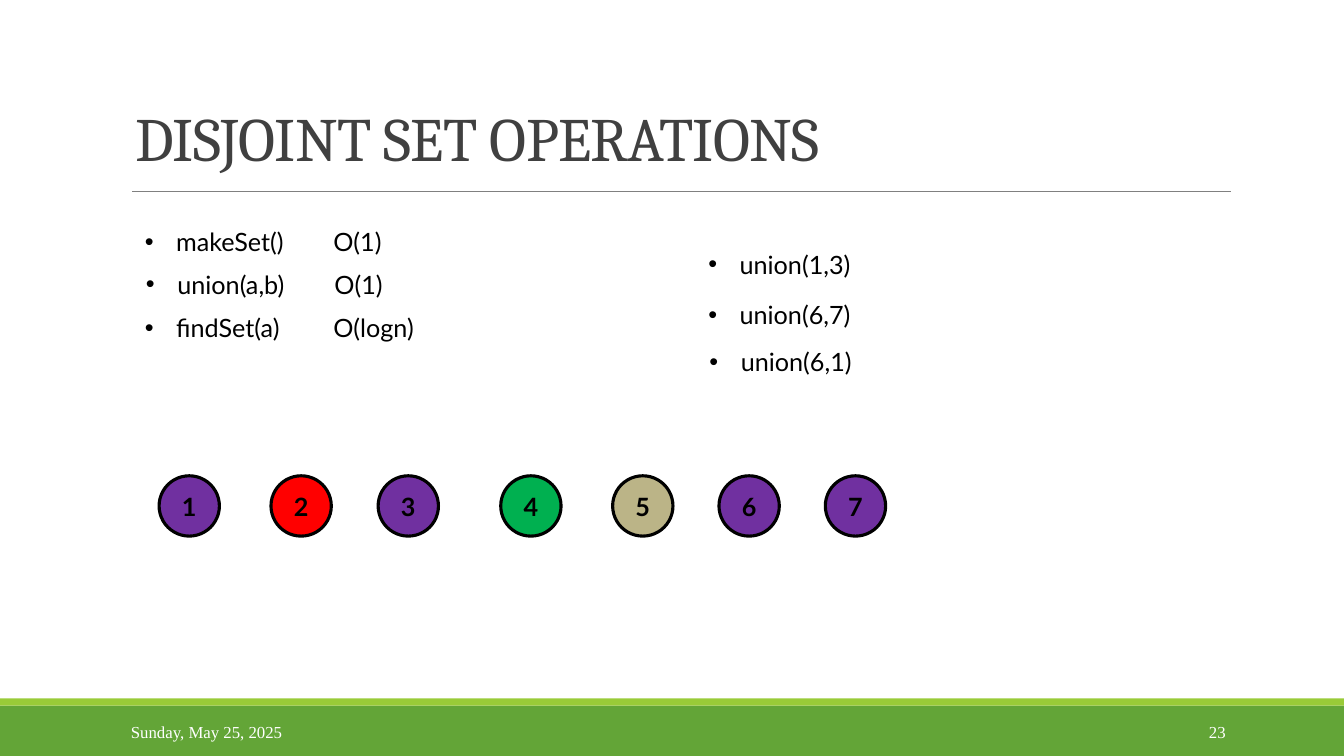
from lxml import etree
from pptx import Presentation
from pptx.dml.color import RGBColor
from pptx.enum.shapes import MSO_CONNECTOR, MSO_SHAPE
from pptx.enum.text import MSO_ANCHOR, MSO_AUTO_SIZE, PP_ALIGN
from pptx.oxml.ns import qn
from pptx.util import Cm, Pt

RECT, OVAL = MSO_SHAPE.RECTANGLE, MSO_SHAPE.OVAL
STRAIGHT = MSO_CONNECTOR.STRAIGHT
TOP, MID, LOW = MSO_ANCHOR.TOP, MSO_ANCHOR.MIDDLE, MSO_ANCHOR.BOTTOM
LEFT, CENTER, RIGHT = PP_ALIGN.LEFT, PP_ALIGN.CENTER, PP_ALIGN.RIGHT
FIT, FIXED = MSO_AUTO_SIZE.SHAPE_TO_FIT_TEXT, MSO_AUTO_SIZE.NONE


def color(code):
    """Turn a hex string into a colour."""
    return RGBColor.from_string(code)


class Deck:
    """Hold the style and the current slide."""

    body, head, foot = "Lato", "Cambria", "Times New Roman"
    black, white, gray = "000000", "FFFFFF", "404040"
    green, lime, rule = "63A537", "99CB38", "808080"

    def __init__(self, file):
        """Add a title-only slide."""
        self.slide = file.slides.add_slide(file.slide_layouts[5])
        self.shapes = self.slide.shapes

    def add_run(self, shape, text, font, size, ink, align=LEFT, bold=False):
        """Put one run of text in a shape."""
        para = shape.text_frame.paragraphs[0]
        para.alignment = align
        run = para.add_run()
        run.text = text
        run.font.name, run.font.size, run.font.bold = font, Pt(size), bold
        run.font.color.rgb = color(ink)
        return para, run

    def title(self, text, left, top, width, height):
        """Place and format the title."""
        shape = self.shapes.title
        shape.left, shape.top = Cm(left), Cm(top)
        shape.width, shape.height = Cm(width), Cm(height)
        frame = shape.text_frame
        frame.vertical_anchor, frame.auto_size = LOW, FIXED
        para, run = self.add_run(shape, text, self.head, 44, self.gray)
        para.line_spacing = 0.85
        run.font._element.set("spc", "-50")

    def shape(self, kind, left, top, width, height, fill, edge=None):
        """Draw a filled shape, with an edge if a width is given."""
        shape = self.shapes.add_shape(kind, Cm(left), Cm(top), Cm(width), Cm(height))
        shape.shadow.inherit = False
        shape.fill.solid()
        shape.fill.fore_color.rgb = color(fill)
        if edge:
            shape.line.color.rgb = color(self.black)
            shape.line.width = Pt(edge)
        else:
            shape.line.fill.background()
        return shape

    def node(self, left, top, size, text, fill):
        """Draw a numbered circle."""
        shape = self.shape(OVAL, left, top, size, size, fill, 2.25)
        frame = shape.text_frame
        frame.word_wrap, frame.vertical_anchor = False, MID
        self.add_run(shape, text, self.body, 18, self.black, CENTER, True)

    def line(self, left, right, top):
        """Draw a level rule."""
        line = self.shapes.add_connector(STRAIGHT, Cm(left), Cm(top), Cm(right), Cm(top))
        line.line.color.rgb, line.line.width = color(self.rule), Pt(0.5)
        etree.SubElement(line._element.spPr, qn("a:effectLst"))

    def box(self, left, top, width, wrap, anchor):
        """Add an empty text box."""
        box = self.shapes.add_textbox(Cm(left), Cm(top), Cm(width), Cm(1.02))
        frame = box.text_frame
        frame.word_wrap, frame.vertical_anchor = wrap, anchor
        frame.auto_size = FIXED if wrap else FIT
        return box

    def label(self, left, top, width, text, dot=False):
        """Add a body line, with a bullet if asked."""
        box = self.box(left, top, width, False, TOP)
        para, _ = self.add_run(box, text, self.body, 18, self.black)
        if dot:
            props = para._p.get_or_add_pPr()
            props.set("marL", str(Cm(0.79)))
            props.set("indent", str(-Cm(0.79)))
            etree.SubElement(props, qn("a:buFont"), typeface="Arial")
            etree.SubElement(props, qn("a:buChar"), char="•")

    def note(self, left, width, text, align):
        """Add a footer text."""
        box = self.box(left, 17.93, width, True, MID)
        self.add_run(box, text, self.foot, 12, self.white, align)


def main():
    """Build the slide."""
    file = Presentation()
    file.slide_width, file.slide_height = Cm(33.87), Cm(19.05)
    deck = Deck(file)
    deck.shape(RECT, 0, 17.78, 33.87, 1.27, deck.green)
    deck.shape(RECT, 0, 17.6, 33.87, 0.18, deck.lime)
    deck.line(3.33, 31.01, 4.83)
    deck.title("DISJOINT SET OPERATIONS", 3.15, 0.48, 29.11, 4.04)

    costs = [
        (3.4, 5.59, 4.11, "makeSet()", 1.73, "O(1)"),
        (3.43, 6.65, 4.14, "union(a,b)", 1.73, "O(1)"),
        (3.4, 7.75, 4.01, "findSet(a)", 2.64, "O(logn)"),
    ]
    for left, top, width, name, span, cost in costs:
        deck.label(left, top, width, name, True)
        deck.label(left + 4.75, top, span, cost)

    calls = [(17.6, 6.15, "1,3"), (17.6, 7.42, "6,7"), (17.63, 8.61, "6,1")]
    for left, top, pair in calls:
        deck.label(left, top, 4.14, f"union({pair})", True)

    violet = "7030A0"
    nodes = [
        (4.01, violet), (6.83, "FF0000"), (9.53, violet), (12.62, "00B050"),
        (15.44, "BBB487"), (18.12, violet), (20.8, violet),
    ]
    for num, (left, fill) in enumerate(nodes, 1):
        deck.node(left, 11.99, 1.52, str(num), fill)

    deck.note(3.05, 6.86, "Sunday, May 25, 2025", LEFT)
    deck.note(27.51, 3.63, "23", RIGHT)
    file.save("out.pptx")


if __name__ == "__main__":
    main()
